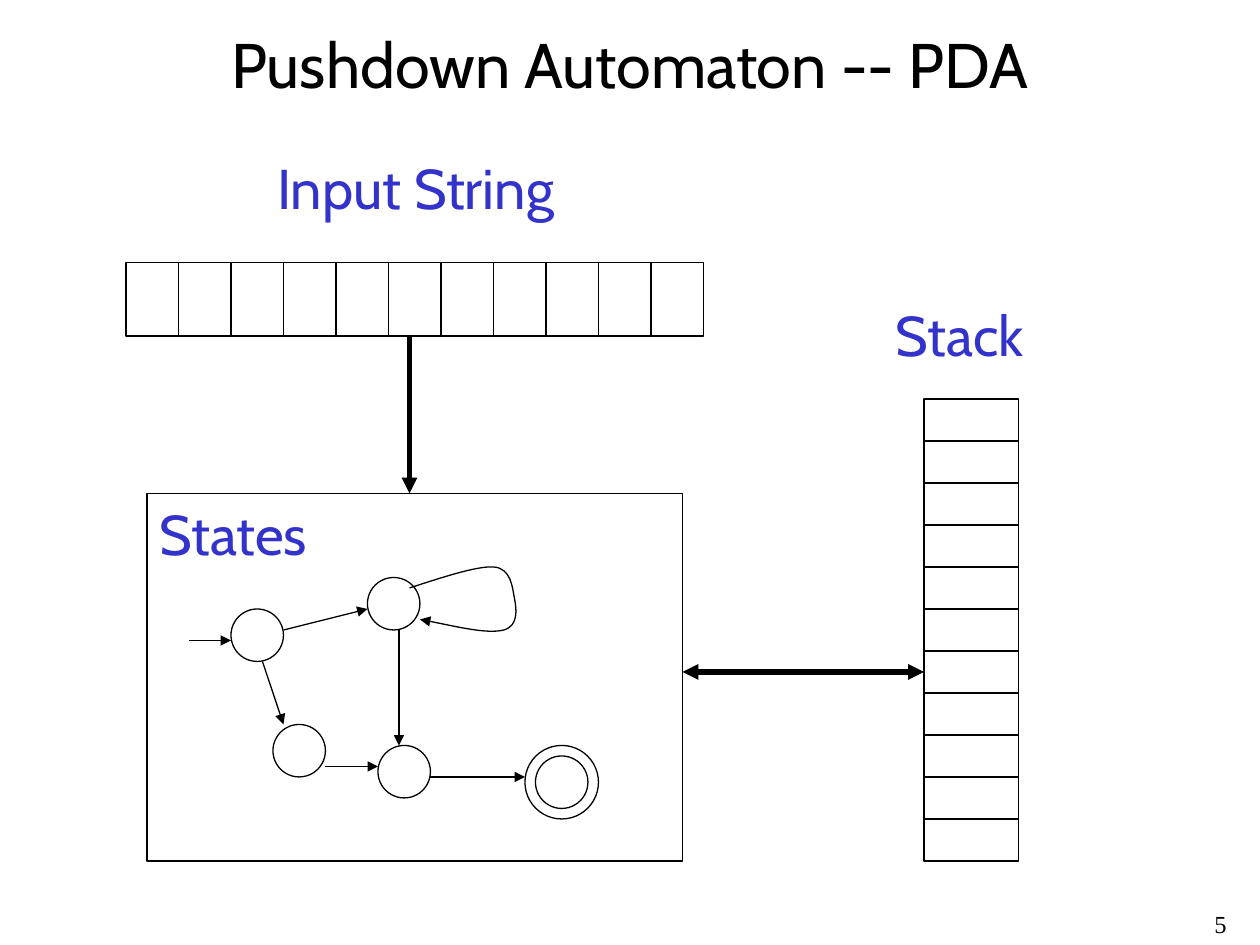
from lxml.etree import SubElement
from pptx import Presentation
from pptx.dml.color import RGBColor
from pptx.enum.shapes import MSO_CONNECTOR, MSO_SHAPE
from pptx.enum.text import MSO_ANCHOR, MSO_AUTO_SIZE, PP_ALIGN
from pptx.oxml.ns import qn
from pptx.util import Cm, Pt

BLACK = RGBColor(0x00, 0x00, 0x00)
BLUE = RGBColor(0x33, 0x33, 0xCC)
THIN, THICK = 0.75, 3
NODE = 5  # diameter of a state circle, in grid units


def u(n):
    """Length of n grid units, twelve to the inch."""
    return Cm(n * 2.54 / 12)


def format_text(tf, text, size, color, font="Cabin", align=None):
    tf.text = text
    p = tf.paragraphs[0]
    p.alignment = align
    r = p.runs[0]
    r.font.size = Pt(size)
    r.font.name = font
    r.font.color.rgb = color


def set_title(slide, text):
    sp = slide.shapes.title
    sp.left, sp.top, sp.width, sp.height = u(2), u(2), u(116), u(8)
    tf = sp.text_frame
    tf.margin_left = tf.margin_right = tf.margin_top = tf.margin_bottom = 0
    tf.vertical_anchor = MSO_ANCHOR.MIDDLE
    format_text(tf, text, 36, BLACK, align=PP_ALIGN.CENTER)


def set_line(sp, width, head=False, tail=False):
    """Give sp a black line, with arrowheads at its start or end."""
    sp.line.color.rgb = BLACK
    sp.line.width = Pt(width)
    ln = sp._element.spPr.find(qn("a:ln"))
    for wanted, tag in ((head, "a:headEnd"), (tail, "a:tailEnd")):
        if wanted:
            SubElement(ln, qn(tag), type="triangle")


def add_outline(slide, kind, x, y, w, h):
    sp = slide.shapes.add_shape(kind, u(x), u(y), u(w), u(h))
    sp.shadow.inherit = False
    sp.fill.background()
    set_line(sp, THIN)


def add_circle(slide, x, y, d=NODE):
    add_outline(slide, MSO_SHAPE.OVAL, x, y, d, d)


def add_line(slide, x1, y1, x2, y2, width=THIN, head=False, tail=False):
    cxn = slide.shapes.add_connector(
        MSO_CONNECTOR.STRAIGHT, u(x1), u(y1), u(x2), u(y2))
    set_line(cxn, width, head, tail)
    SubElement(cxn._element.spPr, qn("a:effectLst"))


def add_loop(slide, points):
    """Draw an arrow through Bezier points: a start, then groups of three."""
    points = [(u(x), u(y)) for x, y in points]
    builder = slide.shapes.build_freeform(*points[0])
    builder.add_line_segments(points[1:], close=False)
    sp = builder.convert_to_shape()
    sp.shadow.inherit = False
    sp.fill.background()
    set_line(sp, THIN, tail=True)

    outline = sp._element.find(".//" + qn("a:path"))
    segments = outline.findall(qn("a:lnTo"))
    for i in range(0, len(segments), 3):
        curve = SubElement(outline, qn("a:cubicBezTo"))
        for segment in segments[i:i + 3]:
            curve.append(segment[0])
            outline.remove(segment)


def add_label(slide, text, x, y, w):
    tb = slide.shapes.add_textbox(u(x), u(y), u(w), u(7.6))
    tf = tb.text_frame
    format_text(tf, text, 32, BLUE)
    tf.word_wrap = False
    tf.auto_size = MSO_AUTO_SIZE.SHAPE_TO_FIT_TEXT
    tf.paragraphs[0].space_before = Pt(6.4)


def add_page_number(slide, number):
    tb = slide.shapes.add_textbox(u(93), u(86), u(25), u(4))
    tb.text_frame.word_wrap = True
    format_text(tb.text_frame, number, 14, BLACK, "Times New Roman",
                PP_ALIGN.RIGHT)


def add_tape(slide, x, y, w, h, cells):
    add_outline(slide, MSO_SHAPE.RECTANGLE, x, y, w, h)
    for i in range(1, cells):
        cell_x = x + i * w / cells
        add_line(slide, cell_x, y, cell_x, y + h)


def add_stack(slide, x, y, w, h, cells):
    add_outline(slide, MSO_SHAPE.RECTANGLE, x, y, w, h)
    for i in range(1, cells):
        cell_y = y + i * h / cells
        add_line(slide, x, cell_y, x + w, cell_y)


def add_states(slide):
    add_outline(slide, MSO_SHAPE.RECTANGLE, 14, 47, 51, 35)
    for x, y in ((22, 58), (35, 55), (26, 69), (36, 71), (51, 72)):
        add_circle(slide, x, y)
    add_circle(slide, 50, 71, 7)  # outer ring of the accepting state
    transitions = (
        (18, 61, 22, 61),
        (27, 60, 35, 58),
        (25, 63, 27, 69),
        (38, 60, 38, 71),
        (31, 73, 36, 73),
        (41, 74, 50, 74),
    )
    for ends in transitions:
        add_line(slide, *ends, tail=True)
    add_loop(slide, [
        (39, 56),
        (42.1, 55), (45.4, 53.9), (47, 54),
        (48.7, 54.1), (48.8, 56), (49, 57),
        (49.2, 58), (49.4, 59.6), (48, 60),
        (46.4, 60.4), (43.2, 59.6), (40, 59),
    ])


def main():
    prs = Presentation()
    prs.slide_width, prs.slide_height = Cm(25.4), Cm(19.05)
    slide = prs.slides.add_slide(prs.slide_layouts[5])

    set_title(slide, "Pushdown Automaton -- PDA")
    add_states(slide)
    add_stack(slide, 88, 38, 9, 44, cells=11)
    add_tape(slide, 12, 25, 55, 7, cells=11)
    add_line(slide, 39, 32, 39, 47, THICK, tail=True)
    add_line(slide, 88, 64, 65, 64, THICK, head=True, tail=True)
    add_label(slide, "Input String", 25.2, 14, 30.6)
    add_label(slide, "Stack", 84.1, 28, 15)
    add_label(slide, "States", 14, 47, 16.9)
    add_page_number(slide, "5")

    prs.save("out.pptx")


if __name__ == "__main__":
    main()
